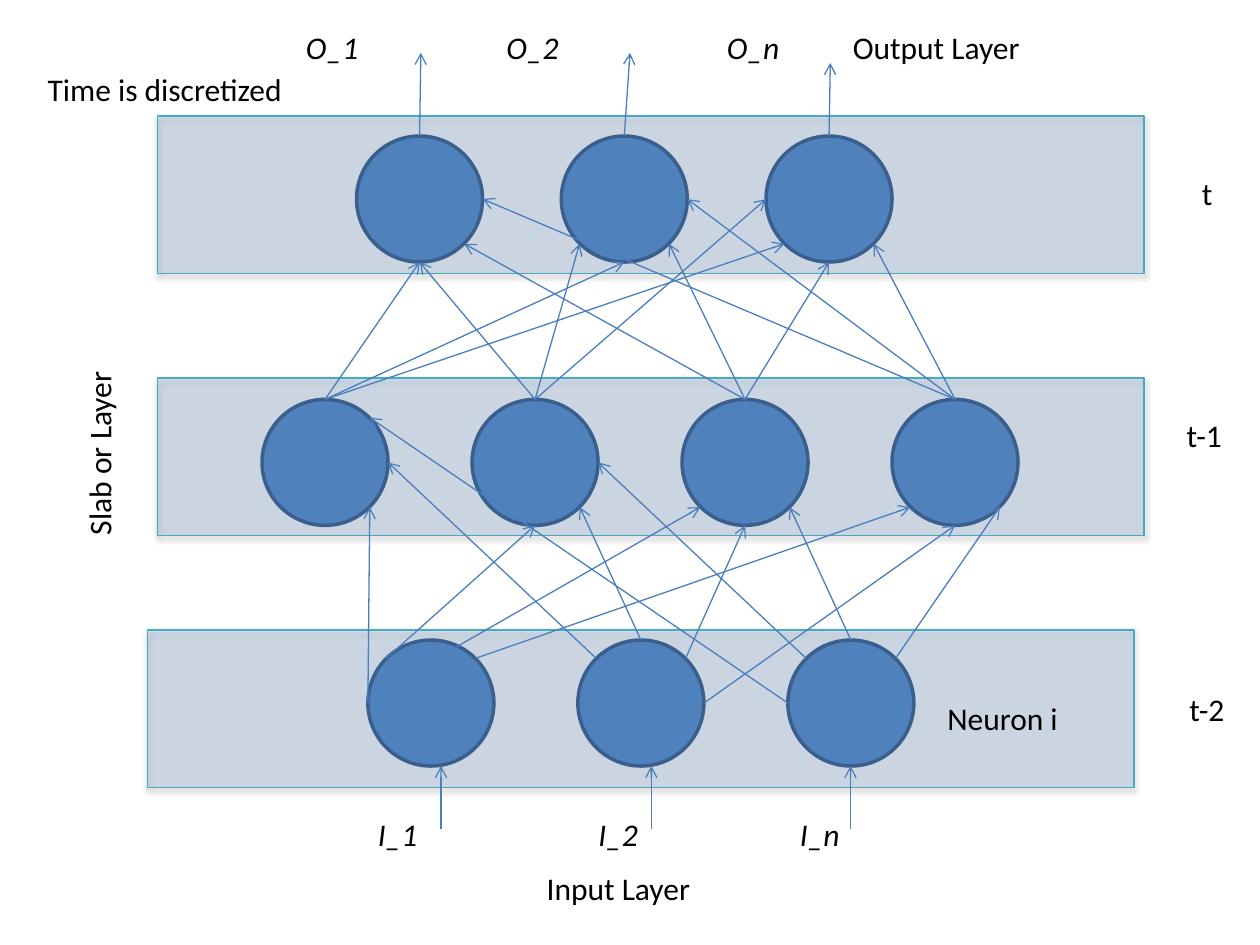
from lxml import etree
from pptx import Presentation
from pptx import util as u
from pptx.dml.color import RGBColor
from pptx.enum import shapes, text
from pptx.oxml import parse_xml
from pptx.oxml.ns import nsdecls, qn

NEURON_FILL = RGBColor(0x4F, 0x81, 0xBD)
NEURON_EDGE = RGBColor(0x3A, 0x5F, 0x8C)
SLAB_EDGE = RGBColor(0x46, 0xAA, 0xC5)
ARROW = RGBColor(0x4B, 0x7E, 0xBC)
BLACK = RGBColor(0, 0, 0)

SLAB_SIZE = (7.83, 1.25)
SLABS = [(1.25, 0.92), (1.25, 3), (1.17, 5)]

DIAMETER = 1
RADIUS = DIAMETER / 2
DIAGONAL = RADIUS * 0.71
SITES = {
    "N": (0, -RADIUS), "S": (0, RADIUS), "W": (-RADIUS, 0), "E": (RADIUS, 0),
    "NW": (-DIAGONAL, -DIAGONAL), "NE": (DIAGONAL, -DIAGONAL),
    "SW": (-DIAGONAL, DIAGONAL), "SE": (DIAGONAL, DIAGONAL),
    "inner": (0, -0.33),
}


def layer(first_x, y, pitch, count):
    return [(first_x + pitch * i, y) for i in range(count)]


OUTPUTS = layer(3.33, 1.58, 1.625, 3)
HIDDEN = layer(2.58, 3.67, 5 / 3, 4)
INPUTS = layer(3.42, 5.58, 5 / 3, 3)

INPUT_LINKS = [
    [("W", "SE"), ("NW", "S"), ("inner", "SW"), ("NE", "SW")],
    [("NW", "E"), ("N", "SE"), ("NE", "S"), ("E", "S")],
    [("W", "NE"), ("NW", "E"), ("N", "SE"), ("NE", "SE")],
]
HIDDEN_LINKS = [
    [("N", "S"), ("N", "S"), ("N", "SW")],
    [("N", "S"), ("N", "SW"), ("N", "W")],
    [("N", "SE"), ("N", "SE"), ("N", "S")],
    [("N", "E"), ("N", "E"), ("N", "SE")],
]
OUTPUT_TIPS = [(3.34, 0.42), (5, 0.42), (6.59, 0.5)]
INPUT_XS = [3.5, 5.17, 6.75]
INPUT_START, INPUT_END = 6.58, 6.08

LABEL_HEIGHT = 0.4
LABELS = [
    ("Slab or Layer", 0.03, 3.39, 1.51, False, 270),
    ("Neuron i", 7.42, 5.5, 1.09, False, 0),
    ("I_1", 2.9, 6.42, 0.52, True, 0),
    ("I_2", 4.65, 6.42, 0.52, True, 0),
    ("I_n", 6.25, 6.42, 0.52, True, 0),
    ("Input Layer", 4.24, 6.85, 1.35, False, 0),
    ("O_1", 2.33, 0.17, 0.62, True, 0),
    ("O_2", 3.92, 0.17, 0.62, True, 0),
    ("O_n", 5.67, 0.17, 0.62, True, 0),
    ("Output Layer", 6.67, 0.17, 1.54, False, 0),
    ("Time is discretized", 0.28, 0.51, 2.14, False, 0),
    ("t-2", 9.34, 5.43, 0.49, False, 0),
    ("t", 9.44, 1.33, 0.29, False, 0),
    ("t-1", 9.32, 3.25, 0.49, False, 0),
]
SLAB_SHADOW = (
    f'<a:effectLst {nsdecls("a")}><a:outerShdw blurRad="39400" dist="20300" '
    'dir="5400000" rotWithShape="0"><a:srgbClr val="000000">'
    '<a:alpha val="38000"/></a:srgbClr></a:outerShdw></a:effectLst>'
)


def add_filled(slide, kind, left, top, width, height, edge, weight):
    shape = slide.shapes.add_shape(
        kind, *map(u.Inches, (left, top, width, height)))
    shape.shadow.inherit = False
    shape.fill.solid()
    shape.fill.fore_color.rgb = NEURON_FILL
    shape.line.color.rgb = edge
    shape.line.width = u.Pt(weight)
    return shape


def add_slab(slide, left, top):
    slab = add_filled(slide, shapes.MSO_SHAPE.RECTANGLE, left, top,
                      *SLAB_SIZE, SLAB_EDGE, 0.75)
    properties = slab._element.spPr
    color = properties.find(qn("a:solidFill")).find(qn("a:srgbClr"))
    etree.SubElement(color, qn("a:alpha"), val="20000")
    properties.replace(properties.find(qn("a:effectLst")),
                       parse_xml(SLAB_SHADOW))


def add_arrow(slide, start, end):
    arrow = slide.shapes.add_connector(
        shapes.MSO_CONNECTOR.STRAIGHT, *map(u.Inches, (*start, *end)))
    arrow.line.color.rgb = ARROW
    arrow.line.width = u.Pt(0.75)
    etree.SubElement(arrow.line._get_or_add_ln(), qn("a:tailEnd"), type="arrow")
    etree.SubElement(arrow._element.spPr, qn("a:effectLst"))


def site(center, name):
    dx, dy = SITES[name]
    return center[0] + dx, center[1] + dy


def link_layers(slide, sources, targets, links):
    for source, row in zip(sources, links):
        for target, (leave, enter) in zip(targets, row):
            add_arrow(slide, site(source, leave), site(target, enter))


def add_label(slide, words, left, top, width, italic, rotation):
    label = slide.shapes.add_textbox(
        *map(u.Inches, (left, top, width, LABEL_HEIGHT)))
    label.rotation = rotation
    frame = label.text_frame
    frame.word_wrap = False
    frame.auto_size = text.MSO_AUTO_SIZE.SHAPE_TO_FIT_TEXT
    frame.text = words
    font = frame.paragraphs[0].runs[0].font
    font.name = "Calibri"
    font.size = u.Pt(18)
    font.italic = italic
    font.color.rgb = BLACK


def main():
    deck = Presentation()
    deck.slide_width, deck.slide_height = u.Inches(10), u.Inches(7.5)
    slide = deck.slides.add_slide(deck.slide_layouts[6])

    for corner in SLABS:
        add_slab(slide, *corner)
    for x, y in OUTPUTS + HIDDEN + INPUTS:
        add_filled(slide, shapes.MSO_SHAPE.OVAL, x - RADIUS, y - RADIUS,
                   DIAMETER, DIAMETER, NEURON_EDGE, 2)

    link_layers(slide, INPUTS, HIDDEN, INPUT_LINKS)
    for neuron, tip in zip(OUTPUTS, OUTPUT_TIPS):
        add_arrow(slide, site(neuron, "N"), tip)
    for x in INPUT_XS:
        add_arrow(slide, (x, INPUT_START), (x, INPUT_END))
    link_layers(slide, HIDDEN, OUTPUTS, HIDDEN_LINKS)

    for label in LABELS:
        add_label(slide, *label)
    deck.save("out.pptx")


if __name__ == "__main__":
    main()
